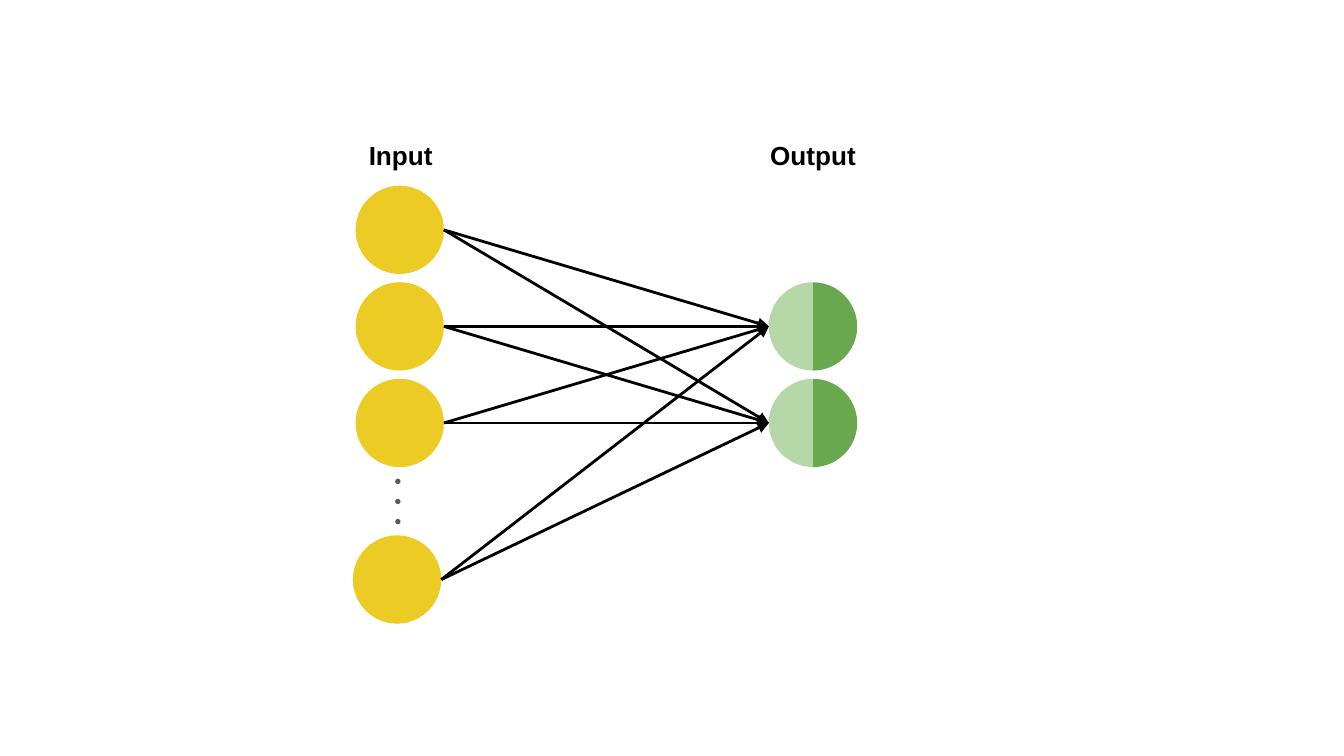
from lxml import etree
from pptx import Presentation
from pptx import util as u
from pptx.dml.color import RGBColor
from pptx.enum import shapes, text
from pptx.oxml.ns import qn

NODE = 1.67
PITCH = 1.825
DOT = 0.1


def color(hex_code):
    return RGBColor.from_string(hex_code)


def add_filled(slide, kind, left, top, size, fill):
    figure = slide.shapes.add_shape(kind, u.Cm(left), u.Cm(top), u.Cm(size), u.Cm(size))
    figure.shadow.inherit = False
    figure.fill.solid()
    figure.fill.fore_color.rgb = color(fill)
    figure.line.fill.background()
    return figure


def add_heading(slide, left, top, width, wording, align):
    heading = slide.shapes.add_textbox(u.Cm(left), u.Cm(top), u.Cm(width), u.Cm(0.86))
    frame = heading.text_frame
    frame.word_wrap = False
    frame.vertical_anchor = text.MSO_ANCHOR.MIDDLE
    line = frame.paragraphs[0]
    line.text = wording
    line.alignment = align
    line.font.name = "Arial"
    line.font.size = u.Pt(14)
    line.font.bold = True
    line.font.color.rgb = color("000000")


def add_input_layer(slide, left, top):
    add_heading(slide, left, top, 1.73, "Input", text.PP_ALIGN.LEFT)
    first = top + 1.0
    nodes = [(left, first + row * PITCH) for row in range(3)]
    nodes.append((left - 0.05, first + 6.61))
    for x, y in nodes:
        add_filled(slide, shapes.MSO_SHAPE.OVAL, x, y, NODE, "ECCC24")
    for step in range(3):
        add_filled(slide, shapes.MSO_SHAPE.OVAL, left + 0.75, first + 5.54 + step * 0.38,
                   DOT, "595959")
    return [(x + NODE, y + NODE / 2) for x, y in nodes]


def add_output_layer(slide, left, top):
    add_heading(slide, left - 0.23, top, 2.13, "Output", text.PP_ALIGN.CENTER)
    targets = []
    for row in (1, 2):
        y = top + 1.0 + row * PITCH
        for rotation, fill in ((0, "B6D7A8"), (180, "6AA84F")):
            half = add_filled(slide, shapes.MSO_SHAPE.PIE, left, y, NODE, fill)
            half.adjustments[0] = 54
            half.adjustments[1] = 162
            half.rotation = rotation
        targets.append((left, y + NODE / 2))
    return targets


def add_arrow(slide, start, end):
    arrow = slide.shapes.add_connector(
        shapes.MSO_CONNECTOR.STRAIGHT, *(u.Cm(value) for value in (*start, *end)))
    arrow.line.width = u.Pt(1.5)
    arrow.line.color.rgb = color("000000")
    etree.SubElement(arrow.line._get_or_add_ln(), qn("a:tailEnd"), type="triangle")
    etree.SubElement(arrow._element.spPr, qn("a:effectLst"))


def add_network(slide, left, top):
    sources = add_input_layer(slide, left, top)
    targets = add_output_layer(slide, left + 7.81, top)
    for target in targets:
        for source in sources:
            add_arrow(slide, source, target)


def main():
    deck = Presentation()
    deck.slide_width = u.Cm(25.4)
    deck.slide_height = u.Cm(14.29)
    slide = deck.slides.add_slide(deck.slide_layouts[6])
    add_network(slide, 6.72, 2.51)
    deck.save("out.pptx")


if __name__ == "__main__":
    main()
